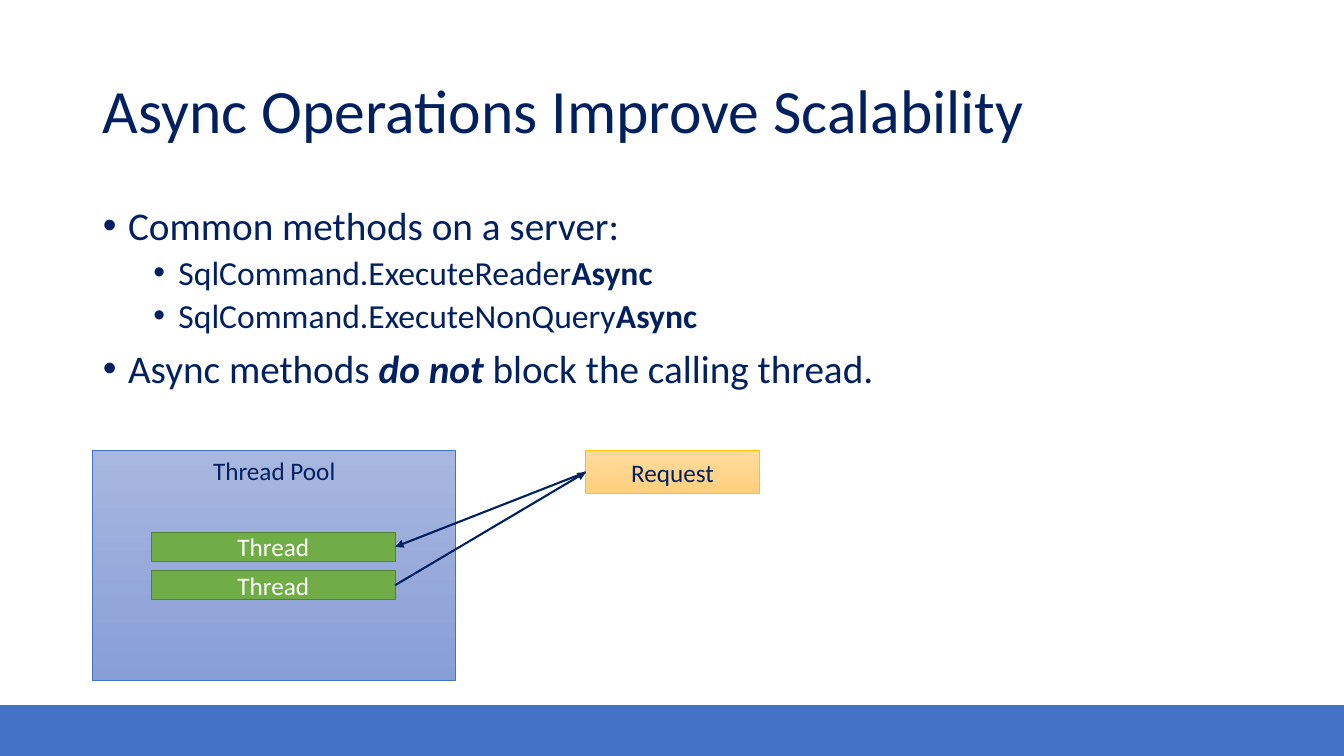
from lxml import etree
from pptx import Presentation
from pptx.dml.color import RGBColor
from pptx.enum.shapes import MSO_CONNECTOR, MSO_SHAPE
from pptx.enum.text import MSO_ANCHOR, MSO_AUTO_SIZE, PP_ALIGN
from pptx.oxml.ns import qn
from pptx.util import Pt

RECTANGLE = MSO_SHAPE.RECTANGLE
STRAIGHT = MSO_CONNECTOR.STRAIGHT
TOP, MIDDLE = MSO_ANCHOR.TOP, MSO_ANCHOR.MIDDLE
LEFT, CENTER = PP_ALIGN.LEFT, PP_ALIGN.CENTER
NO_AUTOFIT = MSO_AUTO_SIZE.NONE

NAVY = RGBColor(0x00, 0x20, 0x60)
BLUE = RGBColor(0x44, 0x72, 0xC4)
PALE_BLUE = RGBColor(0xA8, 0xB7, 0xDF)
SOFT_BLUE = RGBColor(0x88, 0x9E, 0xD7)
PALE_ORANGE = RGBColor(0xFF, 0xDB, 0x9E)
SOFT_ORANGE = RGBColor(0xFF, 0xD0, 0x7C)
GOLD = RGBColor(0xFF, 0xC0, 0x00)
GREEN = RGBColor(0x70, 0xAD, 0x47)
DARK_GREEN = RGBColor(0x53, 0x80, 0x35)
WHITE = RGBColor(0xFF, 0xFF, 0xFF)

FONT = "Calibri"
SLIDE_WIDTH, SLIDE_HEIGHT = 1333, 750
LEFT_SITE, RIGHT_SITE = 1, 3

PLAIN, BOLD, BOLD_ITALIC = (False, False), (True, False), (True, True)
BULLETS = [
    (0, [("Common methods on a server:", PLAIN)]),
    (1, [("SqlCommand.ExecuteReader", PLAIN), ("Async", BOLD)]),
    (1, [("SqlCommand.ExecuteNonQuery", PLAIN), ("Async", BOLD)]),
    (0, [("Async methods ", PLAIN), ("do not ", BOLD_ITALIC),
         ("block the calling thread.", PLAIN)]),
]


def px(length):
    """Turn px, a hundred to the inch, into EMU."""
    return length * 9144


def place(shape, box):
    """Move a shape to a box of left, top, width and height."""
    shape.left, shape.top, shape.width, shape.height = map(px, box)


def set_font(paragraph, size, color):
    """Give a paragraph the slide font in a size and colour."""
    paragraph.font.name = FONT
    paragraph.font.size = Pt(size)
    paragraph.font.color.rgb = color


def add_bar(slide, box, fills, line_color, line_width):
    """Add an outlined rectangle with a solid or a vertical gradient fill."""
    bar = slide.shapes.add_shape(RECTANGLE, *map(px, box))
    bar.shadow.inherit = False
    if len(fills) == 1:
        bar.fill.solid()
        bar.fill.fore_color.rgb = fills[0]
    else:
        bar.fill.gradient()
        bar.fill.gradient_angle = 270
        for stop, color in zip(bar.fill.gradient_stops, fills):
            stop.color.rgb = color
    bar.line.color.rgb = line_color
    bar.line.width = Pt(line_width)
    return bar


def add_label(bar, label, color, anchor=MIDDLE):
    """Write a centred label in a rectangle."""
    frame = bar.text_frame
    frame.vertical_anchor = anchor
    paragraph = frame.paragraphs[0]
    paragraph.text = label
    paragraph.alignment = CENTER
    set_font(paragraph, 18, color)


def add_arrow(slide, source, source_site, target, target_site):
    """Connect two shapes with a line that ends in an arrowhead."""
    arrow = slide.shapes.add_connector(STRAIGHT, 0, 0, 0, 0)
    arrow.begin_connect(source, source_site)
    arrow.end_connect(target, target_site)
    arrow.line.color.rgb = NAVY
    arrow.line.width = Pt(1.5)
    etree.SubElement(arrow.line._get_or_add_ln(), qn("a:tailEnd"), type="triangle")
    etree.SubElement(arrow._element.spPr, qn("a:effectLst"))


def fill_title(title, box):
    """Fill the title placeholder."""
    place(title, box)
    frame = title.text_frame
    frame.text = "Async Operations Improve Scalability"
    frame.auto_size = NO_AUTOFIT
    frame.vertical_anchor = MIDDLE
    heading = frame.paragraphs[0]
    heading.alignment = LEFT
    heading.line_spacing = 0.9
    set_font(heading, 44, NAVY)


def fill_body(body, box):
    """Fill the body placeholder with the two-level list."""
    place(body, box)
    frame = body.text_frame
    frame.auto_size = NO_AUTOFIT
    for index, (level, runs) in enumerate(BULLETS):
        item = frame.add_paragraph() if index else frame.paragraphs[0]
        item.level = level
        item.line_spacing = 0.9
        item.space_before = Pt(5 if level else 10)
        set_font(item, 24 if level else 28, NAVY)
        properties = item._p.get_or_add_pPr()
        properties.set("marL", str(px(25 + 50 * level)))
        properties.set("indent", str(px(-25)))
        bullet_font = etree.Element(qn("a:buFont"), typeface="Arial")
        bullet = etree.Element(qn("a:buChar"), char="•")
        properties.find(qn("a:defRPr")).addprevious(bullet_font)
        bullet_font.addnext(bullet)
        for words, (bold, italic) in runs:
            run = item.add_run()
            run.text = words
            run.font.bold, run.font.italic = bold, italic


def draw_thread_diagram(slide, box):
    """Draw the thread pool, its threads and the request they serve."""
    left, top, _, height = box
    pool = add_bar(slide, (left, top, 360, height), (PALE_BLUE, SOFT_BLUE), BLUE, 0.5)
    add_label(pool, "Thread Pool", NAVY, TOP)
    request = add_bar(slide, (left + 489, top, 172, 43),
                      (PALE_ORANGE, SOFT_ORANGE), GOLD, 0.5)
    add_label(request, "Request", NAVY)
    threads = []
    for row in range(2):
        thread = add_bar(slide, (left + 58, top + 81 + 38 * row, 242, 29),
                         (GREEN,), DARK_GREEN, 1)
        add_label(thread, "Thread", WHITE)
        threads.append(thread)
    released, resumed = threads
    add_arrow(slide, request, LEFT_SITE, released, RIGHT_SITE)
    add_arrow(slide, resumed, RIGHT_SITE, request, LEFT_SITE)


def main():
    """Build the slide and save it."""
    deck = Presentation()
    deck.slide_width, deck.slide_height = px(SLIDE_WIDTH), px(SLIDE_HEIGHT)
    slide = deck.slides.add_slide(deck.slide_layouts[1])
    add_bar(slide, (0, 700, SLIDE_WIDTH, 50), (BLUE,), BLUE, 1)
    fill_title(slide.shapes.title, (92, 40, 1150, 145))
    fill_body(slide.placeholders[1], (92, 200, 1150, 476))
    draw_thread_diagram(slide, (92, 447, 661, 228))
    deck.save("out.pptx")


if __name__ == "__main__":
    main()
